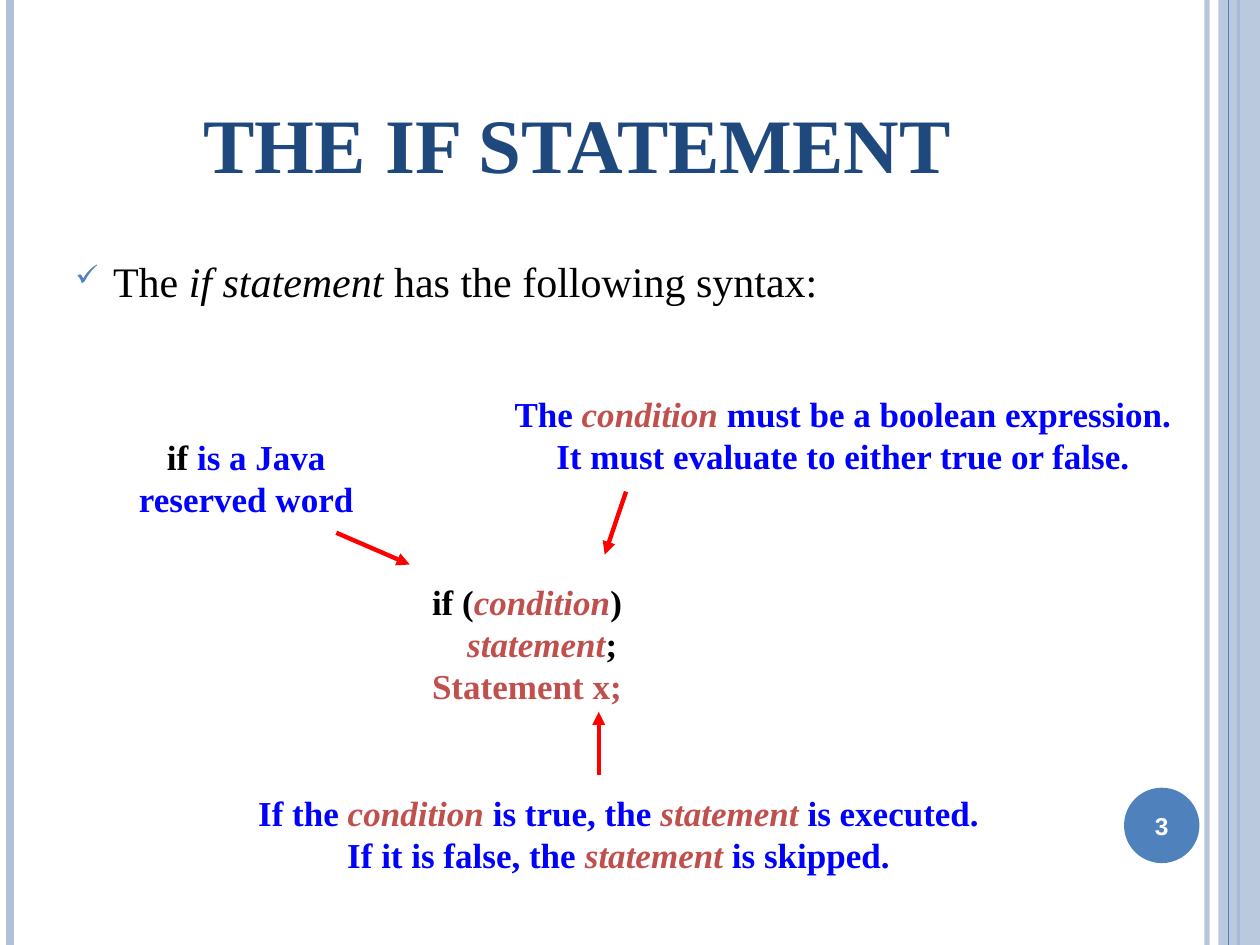
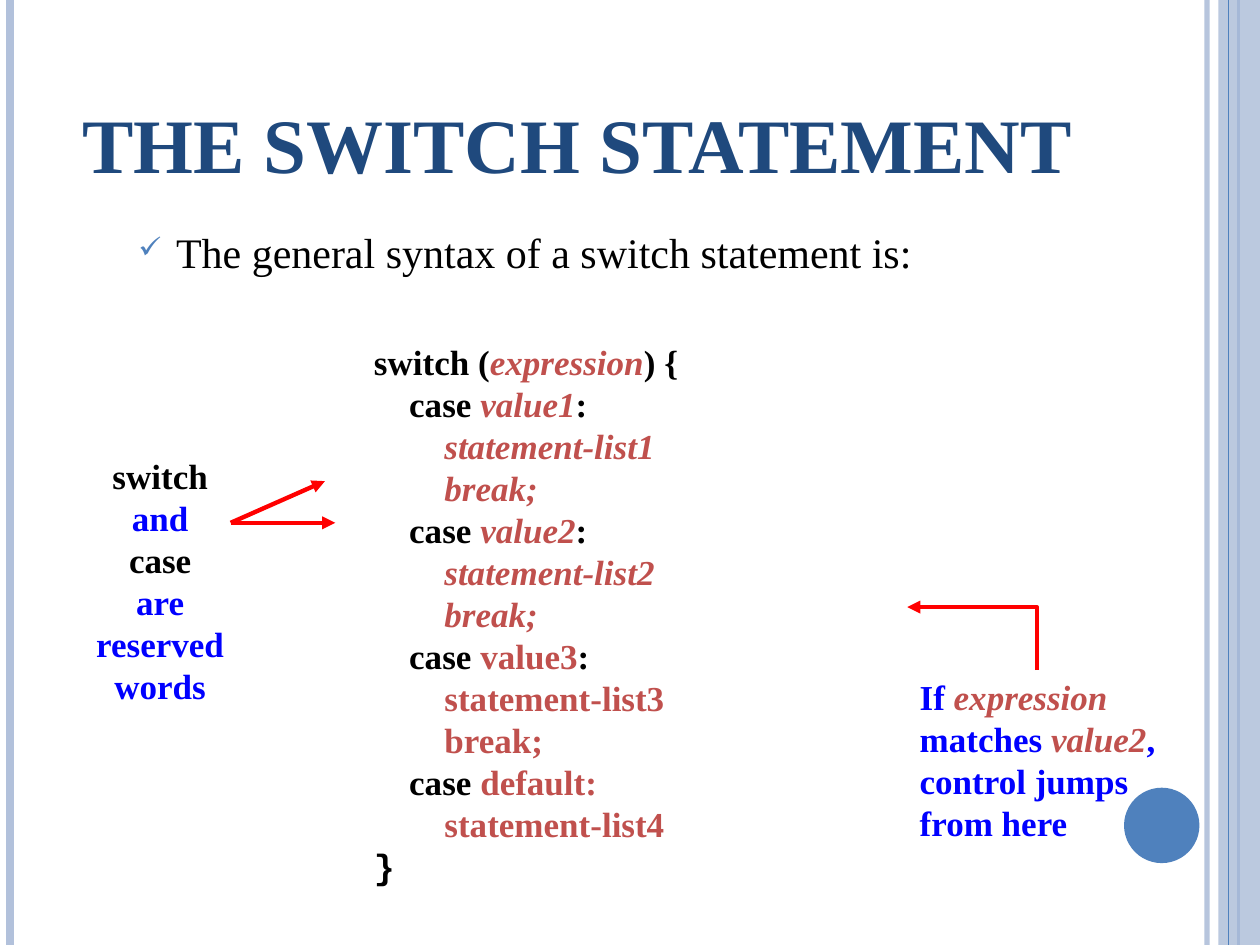
import pptx
import pptx.dml.color
import pptx.enum.shapes
import pptx.enum.text
import pptx.oxml.ns
import pptx.oxml.xmlchemy
import pptx.util

Cm = pptx.util.Cm
Pt = pptx.util.Pt
qn = pptx.oxml.ns.qn
SHAPE = pptx.enum.shapes.MSO_SHAPE
CONNECTOR = pptx.enum.shapes.MSO_CONNECTOR
ALIGN = pptx.enum.text.PP_ALIGN
ANCHOR = pptx.enum.text.MSO_ANCHOR

COLOURS = {
    "title": "1F497D",
    "accent": "4F81BD",
    "band": "B2C1DB",
    "text": "000000",
    "note": "0000FF",
    "term": "C0504D",
    "arrow": "FF0000",
    "white": "FFFFFF",
}
SERIF = "Times New Roman"
PAGE_WIDTH, PAGE_HEIGHT = 25.4, 19.05
CODE_INDENT = 0.71

# Span styles: colour name, italic
STYLES = {
    "code": ("text", False),
    "note": ("note", False),
    "term": ("term", True),
    "upright": ("term", False),
}


def rgb(name):
    return pptx.dml.color.RGBColor.from_string(COLOURS[name])


def append_element(parent, tag, **attributes):
    element = pptx.oxml.xmlchemy.OxmlElement(tag)
    for name, value in attributes.items():
        element.set(name, value)
    parent.append(element)
    return element


def set_alpha(fill_owner, percent):
    """Make the solid colour inside an XML element partly transparent."""
    colour = next(fill_owner.iter(qn("a:srgbClr")))
    append_element(colour, "a:alpha", val=str(percent * 1000))


def set_font(font, size, colour, bold=True, name=SERIF):
    font.name = name
    font.size = Pt(size)
    font.bold = bold
    font.color.rgb = rgb(colour)


def add_line(page, start, end, colour, width, kind=CONNECTOR.STRAIGHT):
    line = page.shapes.add_connector(kind, *map(Cm, start + end))
    line.line.color.rgb = rgb(colour)
    line.line.width = Pt(width)
    append_element(line._element.spPr, "a:effectLst")
    return line


def add_arrow(page, start, end, kind=CONNECTOR.STRAIGHT):
    arrow = add_line(page, start, end, "arrow", 2.5, kind)
    append_element(arrow._element.spPr.find(qn("a:ln")), "a:tailEnd", type="triangle")
    return arrow


def add_corner_arrow(page, start, end):
    """Arrow that runs up from start, then left to end."""
    width, height = start[0] - end[0], start[1] - end[1]
    middle_x, middle_y = (start[0] + end[0]) / 2, (start[1] + end[1]) / 2
    # The frame lies on its side and is turned by 270 degrees.
    arrow = add_arrow(
        page,
        (middle_x - height / 2, middle_y + width / 2),
        (middle_x + height / 2, middle_y - width / 2),
        CONNECTOR.ELBOW,
    )
    properties = arrow._element.spPr
    properties.find(qn("a:xfrm")).set("rot", str(270 * 60000))
    properties.find(qn("a:prstGeom")).set("prst", "bentConnector2")


def add_filled_shape(page, kind, box, colour):
    shape = page.shapes.add_shape(kind, *map(Cm, box))
    shape.shadow.inherit = False
    shape.fill.solid()
    shape.fill.fore_color.rgb = rgb(colour)
    shape.line.fill.background()
    return shape


def add_vertical_rule(page, x, colour, width):
    return add_line(page, (x, 0), (x, PAGE_HEIGHT), colour, width)


def add_frame(page, number):
    """Side rules, right band and number disc."""
    inner_rule = add_vertical_rule(page, 24.33, "band", 3)
    set_alpha(inner_rule._element.spPr, 93)
    add_vertical_rule(page, 0.2, "band", 4.5)
    add_vertical_rule(page, 24.97, "accent", 1.5)
    band = add_filled_shape(page, SHAPE.RECTANGLE, (24.56, 0, 0.84, PAGE_HEIGHT), "band")
    set_alpha(band._element.spPr, 87)
    add_vertical_rule(page, 24.77, "accent", 0.75)
    disc = add_filled_shape(page, SHAPE.OVAL, (22.66, 15.88, 1.52, 1.52), "accent")
    if number:
        frame = disc.text_frame
        frame.margin_left = frame.margin_right = 0
        frame.vertical_anchor = ANCHOR.MIDDLE
        para = frame.paragraphs[0]
        para.text = number
        para.alignment = ALIGN.CENTER
        set_font(para.font, 14, "white", name="Arial")


def add_page(deck, title, number=""):
    page = deck.slides.add_slide(deck.slide_layouts[5])
    add_frame(page, number)
    box = page.shapes.title
    box.left, box.top, box.width, box.height = map(Cm, (1.27, 0.76, 20.75, 3.18))
    frame = box.text_frame
    frame.auto_size = pptx.enum.text.MSO_AUTO_SIZE.NONE
    frame.vertical_anchor = ANCHOR.BOTTOM
    para = frame.paragraphs[0]
    para.text = title
    para.alignment = ALIGN.CENTER
    set_font(para.font, 44, "title")
    return page


def add_bullet(page, box, spans):
    """One ticked paragraph; spans are (text, italic) pairs."""
    frame = page.shapes.add_textbox(*map(Cm, box)).text_frame
    frame.word_wrap = True
    para = frame.paragraphs[0]
    para.space_before = Pt(6)
    properties = para._p.get_or_add_pPr()
    properties.set("marL", str(Cm(0.76)))
    properties.set("indent", str(Cm(-0.76)))
    colour = append_element(properties, "a:buClr")
    append_element(colour, "a:srgbClr", val=COLOURS["accent"])
    append_element(properties, "a:buSzPct", val="70000")
    append_element(properties, "a:buChar", char="✓")
    set_font(para.font, 24, "text", bold=False)
    for text, italic in spans:
        span = para.add_run()
        span.text = text
        span.font.italic = italic


def add_text(page, box, lines, align=ALIGN.CENTER, levels=None):
    """Bold text; each line is a list of (style, text) spans."""
    frame = page.shapes.add_textbox(*map(Cm, box)).text_frame
    frame.word_wrap = True
    frame.vertical_anchor = ANCHOR.MIDDLE
    for index, spans in enumerate(lines):
        para = frame.add_paragraph() if index else frame.paragraphs[0]
        para.alignment = align
        if levels and levels[index]:
            para._p.get_or_add_pPr().set("marL", str(Cm(CODE_INDENT * levels[index])))
        set_font(para.font, 20, "text")
        for style, text in spans:
            colour, italic = STYLES[style]
            span = para.add_run()
            span.text = text
            span.font.color.rgb = rgb(colour)
            span.font.italic = italic
    return frame


def case_lines(number, style):
    return [
        [("code", "case "), (style, f"value{number}"), ("code", ":")],
        [(style, f"statement-list{number}")],
        [(style, "break;")],
    ]


def build_if_page(deck):
    page = add_page(deck, "THE IF STATEMENT", "3")
    add_bullet(page, (1.27, 5.03, 22.86, 1.75), [
        ("The ", False), ("if statement", True), (" has the following syntax:", False),
    ])
    add_text(page, (8.46, 11.58, 8.89, 2.79), [
        [("code", "if ("), ("term", "condition"), ("code", ")")],
        [("term", "statement"), ("code", ";")],
        [("upright", "Statement x;")],
    ], ALIGN.LEFT, (0, 1, 0))
    add_text(page, (2.44, 8.64, 5.05, 1.96), [
        [("code", "if"), ("note", " is a Java")],
        [("note", "reserved word")],
    ])
    add_arrow(page, (6.78, 10.74), (8.26, 11.38))
    add_text(page, (9.96, 7.77, 14.07, 1.96), [
        [("note", "The "), ("term", "condition"), ("note", " must be a boolean expression.")],
        [("note", "It must evaluate to either true or false.")],
    ])
    add_arrow(page, (12.62, 9.91), (12.19, 11.18))
    add_text(page, (4.8, 15.82, 15.34, 1.96), [
        [("note", "If the "), ("term", "condition"), ("note", " is true, the "),
         ("term", "statement"), ("note", " is executed.")],
        [("note", "If it is false, the "), ("term", "statement "), ("note", "is skipped.")],
    ])
    add_arrow(page, (12.07, 15.62), (12.07, 14.35))


def build_switch_page(deck):
    page = add_page(deck, "THE SWITCH STATEMENT")
    add_bullet(page, (2.54, 4.45, 21.59, 1.63), [
        ("The general syntax of a switch statement is:", False),
    ])
    code = add_text(page, (7.29, 6.73, 7, 11.28), [
        [("code", "switch ("), ("term", "expression"), ("code", ") {")],
        *case_lines(1, "term"),
        *case_lines(2, "term"),
        *case_lines(3, "upright"),
        [("code", "case "), ("upright", "default:")],
        [("upright", "statement-list4")],
        [("code", "}")],
    ], ALIGN.LEFT, (0, *(1, 2, 2) * 3, 1, 2, 0))
    code.paragraphs[-1].font.name = "Courier New"

    words = ("switch", "and", "case", "are", "reserved", "words")
    add_text(page, (1.58, 9.04, 3.3, 5.33), [
        [("code" if word in ("switch", "case") else "note", word)] for word in words
    ])
    fork = (4.65, 10.54)
    for tip in ((6.76, 10.54), (6.55, 9.7)):
        add_arrow(page, fork, tip)

    add_text(page, (18.29, 13.49, 5.6, 3.66), [
        [("note", "If "), ("term", "expression")],
        [("note", "matches "), ("term", "value2"), ("note", ",")],
        [("note", "control jumps")],
        [("note", "from here")],
    ], ALIGN.LEFT)
    add_corner_arrow(page, (20.9, 13.51), (18.29, 12.24))


def main():
    deck = pptx.Presentation()
    deck.slide_width, deck.slide_height = Cm(PAGE_WIDTH), Cm(PAGE_HEIGHT)
    build_if_page(deck)
    build_switch_page(deck)
    deck.save("out.pptx")


if __name__ == "__main__":
    main()
